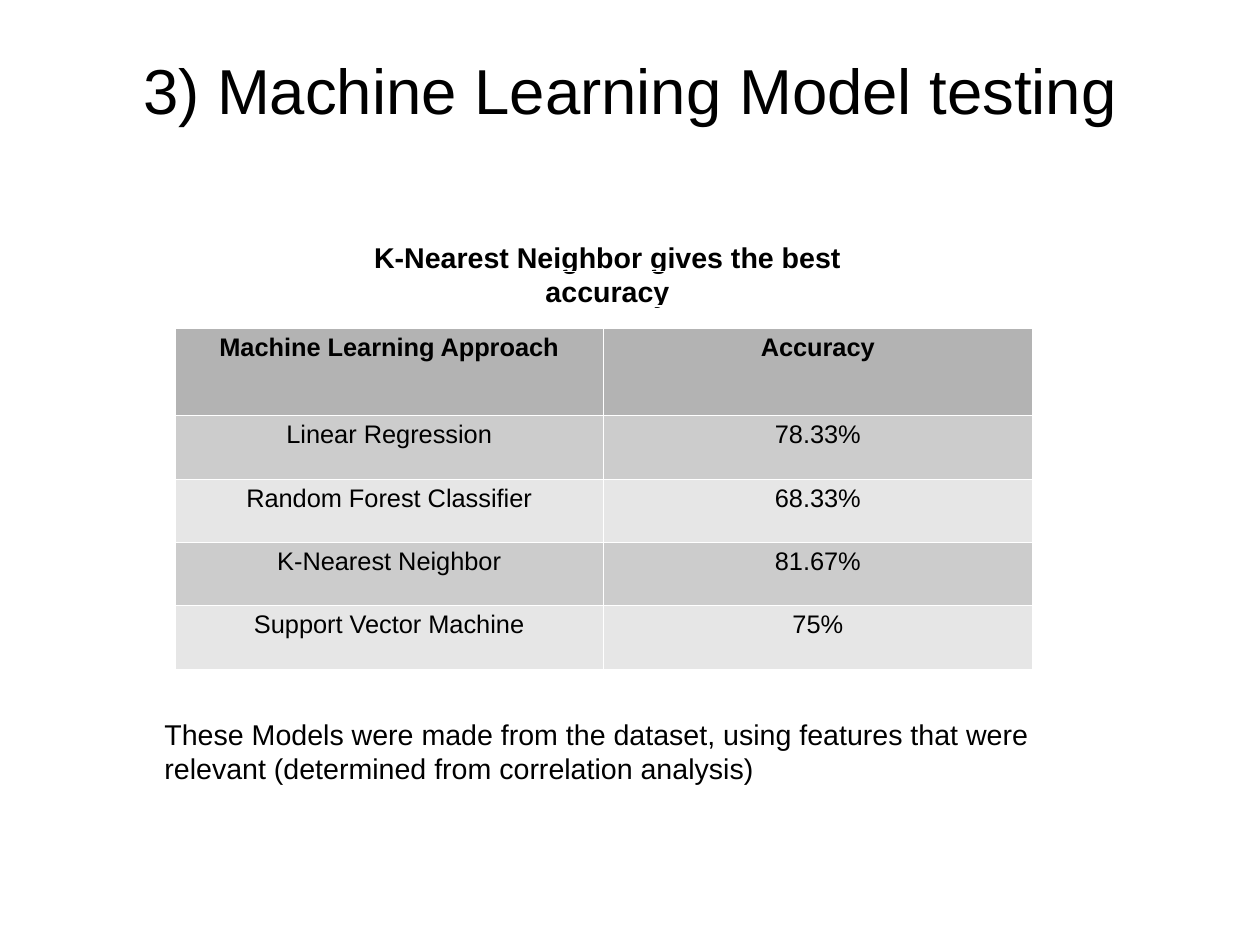
from pptx import Presentation
from pptx.dml.color import RGBColor
from pptx.enum.text import MSO_ANCHOR, PP_ALIGN
from pptx.oxml import parse_xml
from pptx.oxml.ns import nsdecls, qn
from pptx.util import Cm, Inches, Pt

BLACK = RGBColor(0x00, 0x00, 0x00)
WHITE = RGBColor(0xFF, 0xFF, 0xFF)
HEADER_GRAY = RGBColor(0xB3, 0xB3, 0xB3)
BAND_GRAYS = (RGBColor(0xCC, 0xCC, 0xCC), RGBColor(0xE6, 0xE6, 0xE6))

HEADING = "3) Machine Learning Model testing"
FINDING = "K-Nearest Neighbor gives the best accuracy"
EXPLANATION = ("These Models were made from the dataset, using features that were "
               "relevant (determined from correlation analysis)")
RESULTS = [
    ("Machine Learning Approach", "Accuracy"),
    ("Linear Regression", "78.33%"),
    ("Random Forest Classifier", "68.33%"),
    ("K-Nearest Neighbor", "81.67%"),
    ("Support Vector Machine", "75%"),
]
COLUMN_WIDTH = 3.75
ROW_HEIGHTS = (0.76, 0.56, 0.55, 0.55, 0.56)
BORDER_WIDTH = Pt(0.06)


def write(frame, text, align, **formats):
    frame.text = text
    paragraph = frame.paragraphs[0]
    paragraph.alignment = align
    font = paragraph.runs[0].font
    font.color.rgb = BLACK
    for key, value in {"name": "Arial", "bold": False, **formats}.items():
        setattr(font, key, value)
    return font


def add_text(left, top, width, height, text, align, **formats):
    box = slide.shapes.add_textbox(*map(Inches, (left, top, width, height)))
    box.text_frame.word_wrap = True
    return write(box.text_frame, text, align, **formats)


def add_borders(cell):
    properties = cell._tc.get_or_add_tcPr()
    for index, side in enumerate("LRTB"):
        properties.insert(index, parse_xml(
            f'<a:ln{side} {nsdecls("a")} w="{BORDER_WIDTH}"><a:solidFill>'
            f'<a:srgbClr val="{WHITE}"/></a:solidFill></a:ln{side}>'))


deck = Presentation()
deck.slide_width, deck.slide_height = Cm(28), Cm(21)
slide = deck.slides.add_slide(deck.slide_layouts[5])

title = slide.shapes.title
title.left, title.top, title.width, title.height = map(Inches, (0.55, 0.09, 9.92, 1.38))
title_format = {"margin_left": 0, "margin_right": 0, "margin_top": 0, "margin_bottom": 0,
                "vertical_anchor": MSO_ANCHOR.MIDDLE, "word_wrap": True}
for key, value in title_format.items():
    setattr(title.text_frame, key, value)
write(title.text_frame, HEADING, PP_ALIGN.CENTER, size=Pt(40))

accuracy_table = slide.shapes.add_table(
    len(RESULTS), len(RESULTS[0]), Inches(1.53), Inches(2.87),
    Inches(COLUMN_WIDTH * len(RESULTS[0])), Inches(sum(ROW_HEIGHTS))).table
for column in accuracy_table.columns:
    column.width = Inches(COLUMN_WIDTH)
for r, (entries, height) in enumerate(zip(RESULTS, ROW_HEIGHTS)):
    accuracy_table.rows[r].height = Inches(height)
    for c, entry in enumerate(entries):
        cell = accuracy_table.cell(r, c)
        cell.fill.solid()
        cell.fill.fore_color.rgb = BAND_GRAYS[(r - 1) % 2] if r else HEADER_GRAY
        write(cell.text_frame, entry, PP_ALIGN.CENTER, size=Pt(16), bold=r == 0)
        add_borders(cell)

add_text(1.34, 6.22, 8.11, 1.5, EXPLANATION, PP_ALIGN.LEFT, size=Pt(18))
finding_font = add_text(2.6, 2.05, 5.43, 0.38, FINDING, PP_ALIGN.CENTER,
                        size=Pt(18), bold=True, underline=True)
finding_font._element.find(qn("a:latin")).addprevious(parse_xml(
    f'<a:uFill {nsdecls("a")}><a:solidFill><a:srgbClr val="{WHITE}"/></a:solidFill></a:uFill>'))

deck.save("out.pptx")
